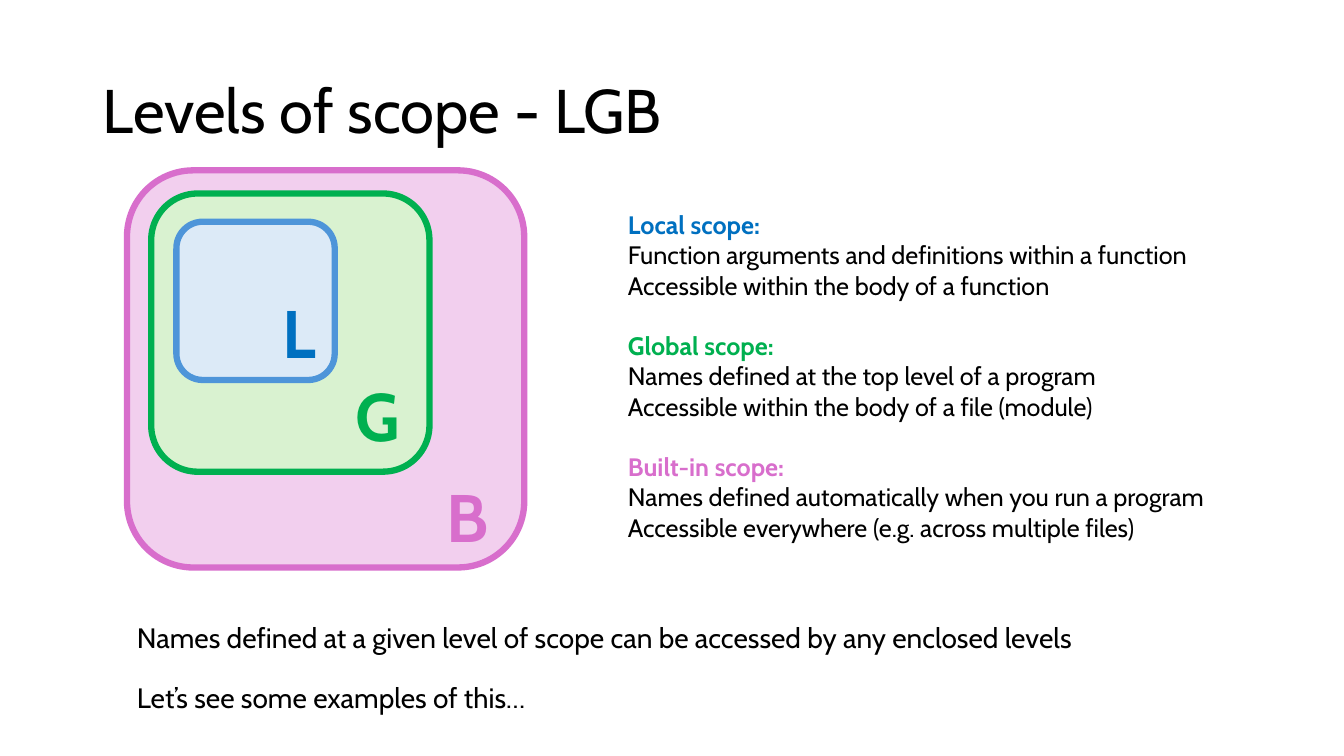
from dataclasses import dataclass

from pptx import Presentation
from pptx.dml.color import RGBColor
from pptx.enum.shapes import MSO_SHAPE
from pptx.enum.text import MSO_ANCHOR, MSO_AUTO_SIZE, PP_ALIGN
from pptx.shapes.shapetree import GroupShapes, SlideShapes
from pptx.text.text import TextFrame, _Paragraph
from pptx.util import Inches, Pt

FONT = "Cabin"
BLACK = RGBColor(0x00, 0x00, 0x00)
BLUE = RGBColor(0x00, 0x70, 0xC0)
BLUE_BORDER = RGBColor(0x4E, 0x95, 0xD9)
BLUE_FILL = RGBColor(0xDC, 0xEA, 0xF7)
GREEN = RGBColor(0x00, 0xB0, 0x50)
GREEN_FILL = RGBColor(0xD9, 0xF2, 0xD0)
PINK = RGBColor(0xD8, 0x6E, 0xCC)
PINK_FILL = RGBColor(0xF2, 0xCF, 0xEE)


@dataclass
class Scope:
    letter: str
    heading: str
    details: tuple[str, str]
    color: RGBColor
    border: RGBColor
    fill: RGBColor
    left: float
    top: float
    side: float
    letter_left: float
    letter_top: float


@dataclass
class Note:
    text: str
    top: float


SCOPES = [
    Scope("L", "Local scope:",
          ("Function arguments and definitions within a function",
           "Accessible within the body of a function"),
          BLUE, BLUE_BORDER, BLUE_FILL, 1.75, 2.2, 1.57, 2.7, 2.84),
    Scope("G", "Global scope:",
          ("Names defined at the top level of a program",
           "Accessible within the body of a file (module)"),
          GREEN, GREEN, GREEN_FILL, 1.5, 1.92, 2.76, 3.43, 3.66),
    Scope("B", "Built-in scope:",
          ("Names defined automatically when you run a program",
           "Accessible everywhere (e.g. across multiple files)"),
          PINK, PINK, PINK_FILL, 1.26, 1.69, 3.94, 4.33, 4.67),
]

NOTES = [
    Note("Names defined at a given level of scope can be accessed by any enclosed levels", 6.11),
    Note("Let’s see some examples of this…", 6.7),
]


def format_paragraph(paragraph: _Paragraph, text: str, size: float,
                     color: RGBColor = BLACK, bold: bool = False) -> None:
    paragraph.text = text
    paragraph.font.name = FONT
    paragraph.font.size = Pt(size)
    paragraph.font.bold = bold
    paragraph.font.color.rgb = color


def add_text_box(shapes: SlideShapes | GroupShapes, left: float, top: float,
                 width: float, height: float) -> TextFrame:
    text_box = shapes.add_textbox(Inches(left), Inches(top), Inches(width), Inches(height))
    text_box.text_frame.word_wrap = True
    return text_box.text_frame


def add_scope_square(shapes: GroupShapes, scope: Scope) -> None:
    square = shapes.add_shape(MSO_SHAPE.ROUNDED_RECTANGLE, Inches(scope.left),
                              Inches(scope.top), Inches(scope.side), Inches(scope.side))
    square.shadow.inherit = False
    square.fill.solid()
    square.fill.fore_color.rgb = scope.fill
    square.line.color.rgb = scope.border
    square.line.width = Pt(4.5)


def add_scope_letter(shapes: GroupShapes, scope: Scope) -> None:
    text_frame = add_text_box(shapes, scope.letter_left, scope.letter_top, 0.36, 0.91)
    format_paragraph(text_frame.paragraphs[0], scope.letter, 48, scope.color, bold=True)


def add_descriptions(shapes: SlideShapes) -> None:
    text_frame = add_text_box(shapes, 6.13, 2.03, 6.41, 3.74)
    for index, scope in enumerate(SCOPES):
        heading = text_frame.add_paragraph() if index else text_frame.paragraphs[0]
        format_paragraph(heading, scope.heading, 18, scope.color, bold=True)
        if index:
            heading.space_before = Pt(21.6)
        for detail in scope.details:
            format_paragraph(text_frame.add_paragraph(), detail, 18)


def main() -> None:
    presentation = Presentation()
    presentation.slide_width = Inches(13.33)
    presentation.slide_height = Inches(7.5)
    slide = presentation.slides.add_slide(presentation.slide_layouts[5])

    # Title
    title = slide.shapes.title
    title.left, title.top = Inches(0.92), Inches(0.4)
    title.width, title.height = Inches(11.5), Inches(1.45)
    title.text_frame.auto_size = MSO_AUTO_SIZE.NONE
    title.text_frame.vertical_anchor = MSO_ANCHOR.MIDDLE
    title_paragraph = title.text_frame.paragraphs[0]
    format_paragraph(title_paragraph, "Levels of scope - LGB", 44)
    title_paragraph.alignment = PP_ALIGN.LEFT
    title_paragraph.line_spacing = 0.9

    # Nested scope diagram, outermost square at the back
    diagram = slide.shapes.add_group_shape()
    for scope in reversed(SCOPES):
        add_scope_square(diagram.shapes, scope)
    for scope in SCOPES:
        add_scope_letter(diagram.shapes, scope)

    # Scope descriptions
    add_descriptions(slide.shapes)

    # Closing notes
    for note in NOTES:
        text_frame = add_text_box(slide.shapes, 1.26, note.top, 10.01, 0.44)
        format_paragraph(text_frame.paragraphs[0], note.text, 20)

    presentation.save("out.pptx")


if __name__ == "__main__":
    main()
